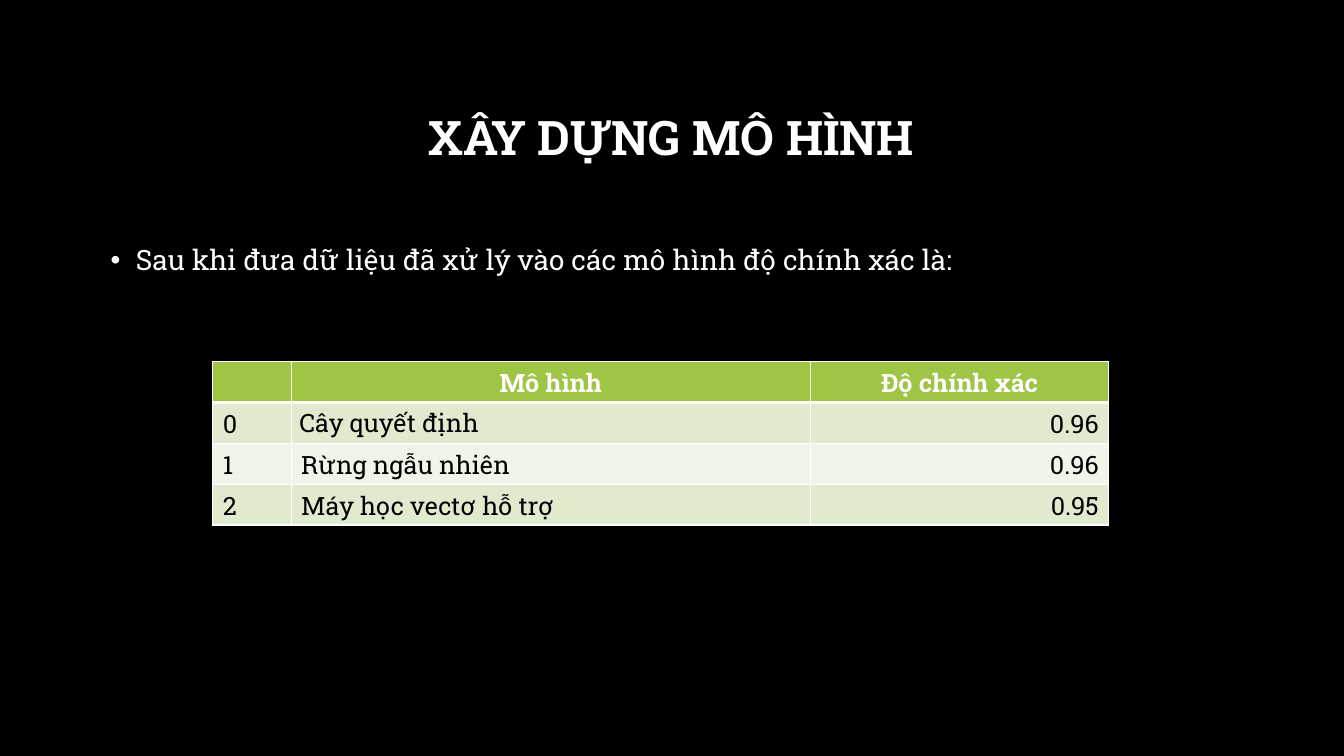
from lxml.etree import SubElement
from pptx import Presentation
from pptx.dml.color import RGBColor
from pptx.enum.text import MSO_ANCHOR as Anchor, PP_ALIGN as Align
from pptx.oxml.ns import qn
from pptx.util import Pt

COLORS = {
    "background": "000000",
    "light": "FFFFFF",
    "dark": "000000",
    "header": "9EC544",
    "odd_row": "DFEACF",
    "even_row": "F0F5E9",
}
FONT = "Roboto Slab"


def rgb(name):
    """Return the named colour."""
    return RGBColor.from_string(COLORS[name])


def set_all(target, values):
    """Set every attribute in a dict of format values."""
    for name, value in values.items():
        setattr(target, name, value)


class SlideBuilder:
    """Holds the style and the current slide."""

    def __init__(self, presentation):
        """Add a title-only slide with a plain background."""
        self.slide = presentation.slides.add_slide(presentation.slide_layouts[5])
        fill = self.slide.background.fill
        fill.solid()
        fill.fore_color.rgb = rgb("background")

    def add_text(self, frame, text, size, color="light", bold=False, **paragraph_format):
        """Put one formatted paragraph into a text frame."""
        paragraph = frame.paragraphs[0]
        set_all(paragraph, paragraph_format)
        run = paragraph.add_run()
        run.text = text
        set_all(run.font, {"name": FONT, "size": Pt(size), "bold": bold})
        run.font.color.rgb = rgb(color)
        return paragraph

    def title(self, text, left, top, width, height):
        """Place and fill the title placeholder."""
        shape = self.slide.shapes.title
        set_all(shape, {"left": Pt(left), "top": Pt(top),
                        "width": Pt(width), "height": Pt(height)})
        set_all(shape.text_frame, {"vertical_anchor": Anchor.MIDDLE, "word_wrap": True})
        self.add_text(shape.text_frame, text, 34, bold=True,
                      alignment=Align.CENTER, line_spacing=0.9)

    def bullet(self, text, left, top, width, height, indent=18):
        """Add a text box with one bulleted paragraph."""
        box = self.slide.shapes.add_textbox(Pt(left), Pt(top), Pt(width), Pt(height))
        box.text_frame.word_wrap = True
        paragraph = self.add_text(box.text_frame, text, 20,
                                  line_spacing=1.2, space_before=Pt(10))
        properties = paragraph._p.get_or_add_pPr()
        properties.set("marL", str(Pt(indent)))
        properties.set("indent", str(-Pt(indent)))
        SubElement(properties, qn("a:buFont"), typeface="Arial")
        SubElement(properties, qn("a:buChar"), char="•")

    def borders(self, cell, widths):
        """Draw light cell borders from a dict of side to width."""
        properties = cell._tc.get_or_add_tcPr()
        for side, width in widths.items():
            line = SubElement(properties, qn(f"a:ln{side}"), w=str(Pt(width)))
            fill = SubElement(line, qn("a:solidFill"))
            SubElement(fill, qn("a:srgbClr"), val=COLORS["light"])

    def table(self, rows, left, top, column_widths, row_height):
        """Add a table with a header row and alternating row fills."""
        table = self.slide.shapes.add_table(
            len(rows), len(column_widths), Pt(left), Pt(top),
            Pt(sum(column_widths)), Pt(row_height * len(rows))).table
        for column, width in zip(table.columns, column_widths):
            column.width = Pt(width)
        for row_index, row in enumerate(rows):
            header = row_index == 0
            fill_name = "header" if header else "odd_row" if row_index % 2 else "even_row"
            for column_index, text in enumerate(row):
                cell = table.cell(row_index, column_index)
                self.borders(cell, {"L": 1, "R": 1, "T": 3 if row_index == 1 else 1,
                                    "B": 3 if header else 1})
                cell.fill.solid()
                cell.fill.fore_color.rgb = rgb(fill_name)
                if not text:
                    continue
                body_align = Align.RIGHT if column_index == 2 else Align.LEFT
                self.add_text(cell.text_frame, text, 18, "light" if header else "dark", header,
                              alignment=Align.CENTER if header else body_align)
        return table


presentation = Presentation()
set_all(presentation, {"slide_width": Pt(960), "slide_height": Pt(540)})
builder = SlideBuilder(presentation)
builder.title("XÂY DỰNG MÔ HÌNH", 72, 48, 815, 104.5)
builder.bullet("Sau khi đưa dữ liệu đã xử lý vào các mô hình độ chính xác là:",
               72, 165, 815, 291)
accuracy_table = builder.table([
    ["", "Mô hình", "Độ chính xác"],
    ["0", "Cây quyết định", "0.96"],
    ["1", "Rừng ngẫu nhiên", "0.96"],
    ["2", "Máy học vectơ hỗ trợ", "0.95"],
], 152, 258.2, [56, 370.8, 213.2], 29.2)
set_all(accuracy_table.cell(1, 1), {
    "vertical_anchor": Anchor.MIDDLE, "margin_left": Pt(5.8), "margin_right": Pt(5.8),
    "margin_top": Pt(2.9), "margin_bottom": Pt(2.9)})
presentation.save("out.pptx")
